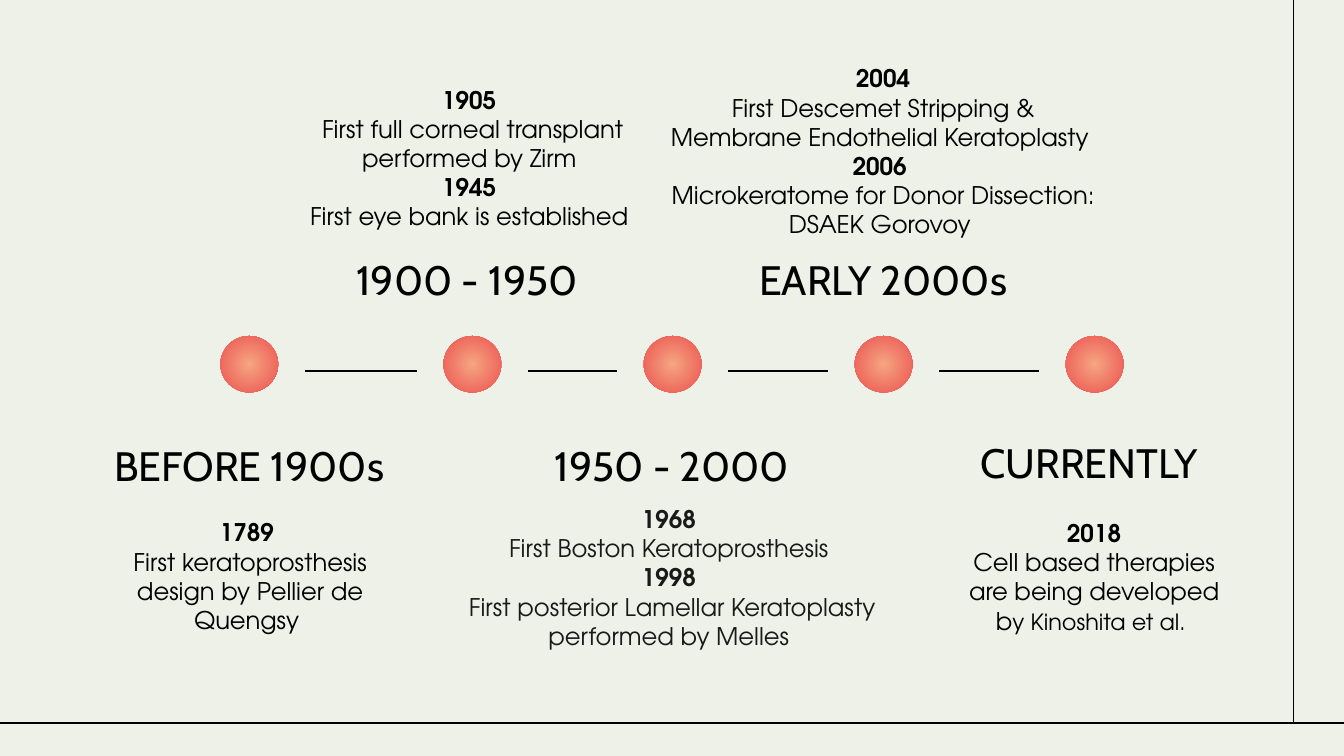
"""Build a timeline slide on the history of corneal transplantation."""
from lxml.etree import SubElement
from pptx import Presentation
from pptx.dml.color import RGBColor
from pptx.enum.shapes import MSO_CONNECTOR, MSO_SHAPE
from pptx.enum.text import MSO_ANCHOR as Anchor, PP_ALIGN as Align
from pptx.oxml.ns import qn
from pptx.util import Inches, Pt

COLORS = {"background": "EEF1E8", "ink": "000000", "soft_ink": "191919",
          "dot_center": "F5A682", "dot_edge": "EB504F"}
HEADING_FONT, BODY_FONT = "Cabin", "TeX Gyre Adventor"

presentation = Presentation()
presentation.slide_width = Inches(10)
presentation.slide_height = presentation.slide_width * 9 // 16
COLUMN = presentation.slide_width / 100
ROW = presentation.slide_height / 56.25
slide = presentation.slides.add_slide(presentation.slide_layouts[6])
slide.background.fill.solid()
slide.background.fill.fore_color.rgb = RGBColor.from_string(COLORS["background"])


def add_line(left, top, right, bottom):
    ends = [round(length) for length in (left * COLUMN, top * ROW, right * COLUMN, bottom * ROW)]
    line = slide.shapes.add_connector(MSO_CONNECTOR.STRAIGHT, *ends)
    line.line.color.rgb = RGBColor.from_string(COLORS["ink"])
    line.line.width = Pt(0.75)
    SubElement(line.element.spPr, qn("a:effectLst"))


def add_text(area, paragraphs, font_name, size, color, bold_years, small_size=12):
    left, top, width, height = area
    box = slide.shapes.add_textbox(round(left * COLUMN), round(top * ROW),
                                   round(width * COLUMN), round(height * ROW))
    frame = box.text_frame
    frame.word_wrap = True
    frame.vertical_anchor = Anchor.MIDDLE
    frame.margin_left = frame.margin_right = frame.margin_top = frame.margin_bottom = Inches(0.1)
    for index, text in enumerate(paragraphs):
        paragraph = frame.paragraphs[0] if index == 0 else frame.add_paragraph()
        paragraph.alignment = Align.CENTER
        font = paragraph.font
        font.name, font.size = font_name, Pt(size)
        font.bold = bold_years and index % 2 == 0
        font.color.rgb = RGBColor.from_string(COLORS[color])
        main, _, small = text.partition("|")
        paragraph.add_run().text = main
        if small:
            run = paragraph.add_run()
            run.text = small
            run.font.size = Pt(small_size)


add_line(96.25, 0, 96.25, 53.8)
add_line(0, 53.8, 100, 53.8)

periods = [
    ("BEFORE 1900s", (6.8, 32.5, 23.5, 4.2),
     ["1789| ", "First keratoprosthesis design by Pellier de Quengsy "],
     (7.9, 38.6, 21.4, 8.5), "ink"),
    ("1950 - 2000", (39.3, 32.5, 21.4, 4.2),
     ["1968| ", "First Boston Keratoprosthesis ",
      "1998| ", "First posterior Lamellar Keratoplasty performed by Melles "],
     (33.65, 36.1, 32.7, 13.7), "soft_ink"),
    ("CURRENTLY ", (70.7, 32.3, 21.4, 4.2),
     ["2018", "Cell based therapies are being developed b|y Kinoshita et al. "],
     (70.7, 37.35, 21.4, 11.1), "ink"),
    ("1900 - 1950 ", (24.4, 18.7, 21.4, 4.2),
     ["1905 ", "First full corneal transplant performed by Zirm ",
      "1945 ", "First eye bank is established "],
     (21.4, 6.85, 27.5, 9.8), "ink"),
    ("EARLY 2000s", (55, 18.7, 21.4, 4.2),
     ["2004", "First Descemet Stripping & Membrane Endothelial Keratoplasty ",
      "2006 ", "Microkeratome for Donor Dissection: DSAEK Gorovoy "],
     (48.6, 3.4, 34.2, 15.7), "ink"),
]
for heading, heading_area, events, events_area, color in periods:
    add_text(heading_area, [heading], HEADING_FONT, 22, "ink", False)
    add_text(events_area, events, BODY_FONT, 13, color, True)

dot_lefts = [16.4, 33, 47.9, 63.6, 79.3]
dot_width, dot_height, gap = 4.3, 4.2, 2
for left, next_left in zip(dot_lefts, dot_lefts[1:]):
    add_line(left + dot_width + gap, 27.6, next_left - gap, 27.6)

for left in dot_lefts:
    dot = slide.shapes.add_shape(MSO_SHAPE.OVAL, round(left * COLUMN), round(25 * ROW),
                                 round(dot_width * COLUMN), round(dot_height * ROW))
    dot.shadow.inherit = False
    dot.line.fill.background()
    dot.fill.gradient()
    for stop, name in zip(dot.fill.gradient_stops, ("dot_center", "dot_edge")):
        stop.color.rgb = RGBColor.from_string(COLORS[name])
    gradient = dot.element.spPr.find(qn("a:gradFill"))
    gradient.remove(gradient.find(qn("a:lin")))
    radial = SubElement(gradient, qn("a:path"), {"path": "circle"})
    SubElement(radial, qn("a:fillToRect"), dict.fromkeys("ltrb", "50000"))

presentation.save("out.pptx")
